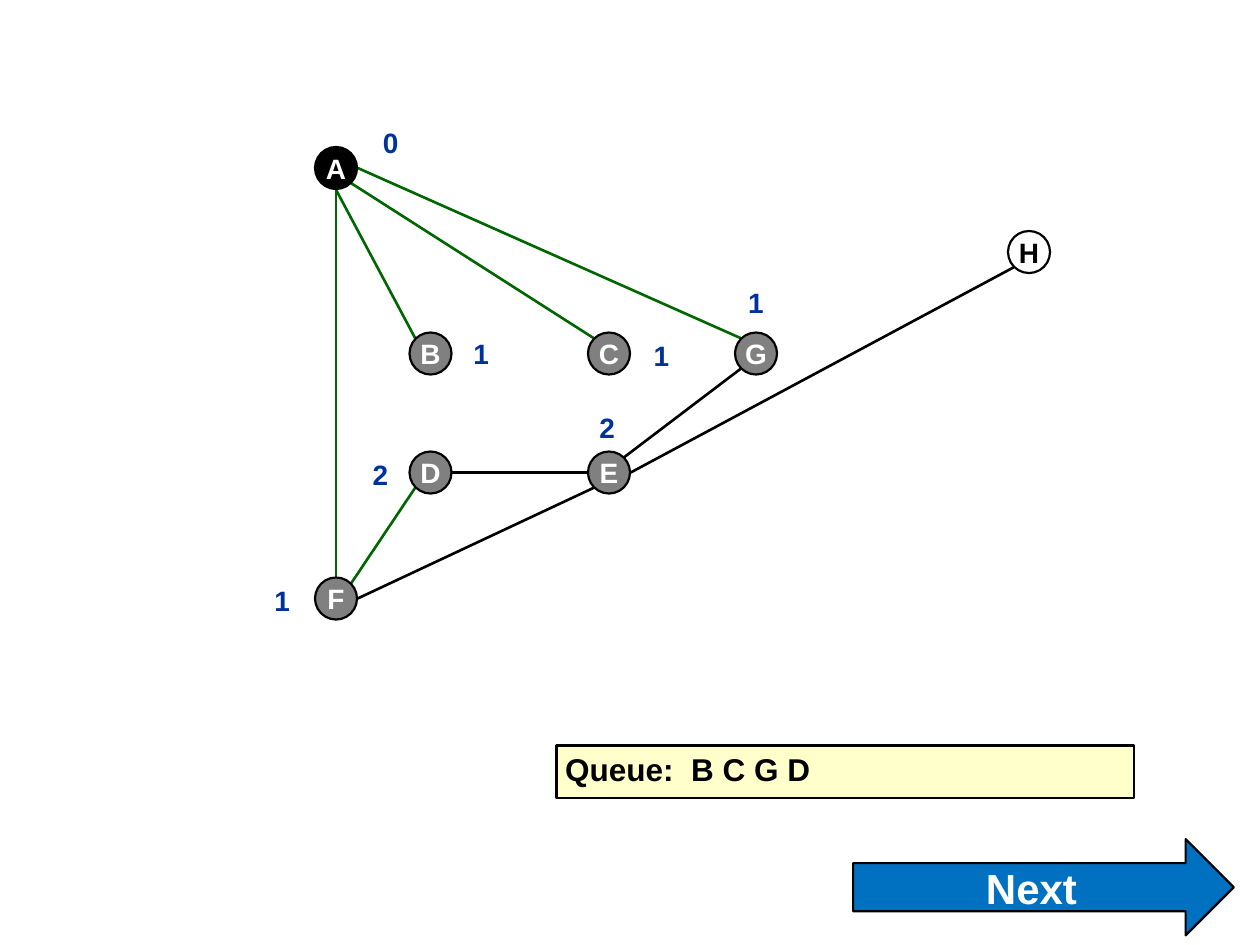
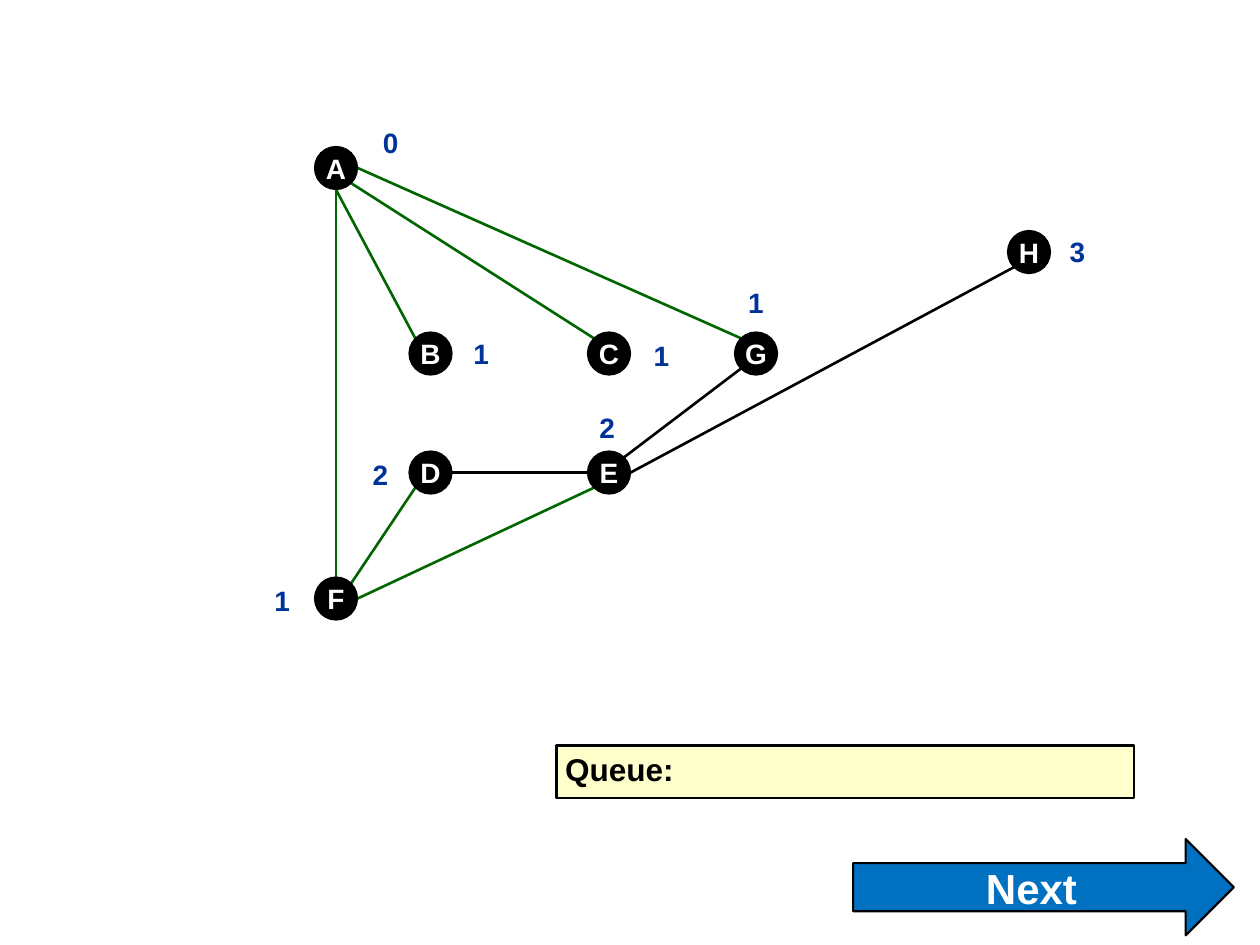
from dataclasses import dataclass
from math import cos, radians, sin

from lxml.etree import SubElement
from pptx import Presentation
from pptx.dml.color import RGBColor
from pptx.enum.shapes import MSO_CONNECTOR, MSO_SHAPE
from pptx.enum.text import MSO_ANCHOR, PP_ALIGN
from pptx.oxml.ns import qn
from pptx.util import Pt


@dataclass(frozen=True)
class Theme:
    font: str = "Arial"
    black: str = "000000"
    white: str = "FFFFFF"
    gray: str = "808080"
    tree: str = "006600"
    distance: str = "003399"
    queue: str = "FFFFCC"
    button: str = "0070C0"
    label_size: float = 16
    queue_size: float = 18
    button_size: float = 24
    outline: float = 1.25
    edge: float = 1.5


THEME = Theme()
RADIUS = 12
EDGE_RADIUS = 12.4
LABEL_WIDTH, LABEL_HEIGHT = 23, 19.4

NODES = {
    "A": (192, 96),
    "B": (246, 202),
    "C": (348, 202),
    "G": (432, 202),
    "D": (246, 270),
    "E": (348, 270),
    "F": (192, 342),
    "H": (588, 144),
}
SITES = {"right": 0, "bottom right": 45, "bottom": 90, "bottom left": 135,
         "left": 180, "top left": 225, "top": 270, "top right": 315}
EDGES = [
    ("F", "top", "A", "bottom"),
    ("A", "bottom right", "C", "top left"),
    ("A", "right", "G", "top left"),
    ("A", "bottom", "B", "top left"),
    ("E", "left", "D", "right"),
    ("E", "bottom left", "F", "right"),
    ("F", "top right", "D", "bottom left"),
    ("E", "top right", "G", "bottom left"),
    ("E", "right", "H", "bottom left"),
]
DISTANCES = {
    "A": ("0", 31.2, -14.3),
    "F": ("1", -30.8, 1.2),
    "B": ("1", 29, 0),
    "C": ("1", 30, 1.4),
    "G": ("1", 0, -29),
    "D": ("2", -28.6, 1),
    "E": ("2", -1, -25.6),
    "H": ("3", 27.6, -0.4),
}


def write(shape, text, size, color, align=PP_ALIGN.CENTER,
          anchor=MSO_ANCHOR.MIDDLE, wrap=False, left=0, top=0):
    frame = shape.text_frame
    frame.word_wrap = wrap
    frame.vertical_anchor = anchor
    frame.margin_left, frame.margin_top = Pt(left), Pt(top)
    frame.margin_right = frame.margin_bottom = 0
    para = frame.paragraphs[0]
    para.alignment = align
    span = para.add_run()
    span.text = text
    span.font.name = THEME.font
    span.font.size = Pt(size)
    span.font.bold = True
    span.font.color.rgb = RGBColor.from_string(color)
    return para


class GraphPage:
    def __init__(self, deck, theme):
        self.theme = theme
        self.page = deck.slides.add_slide(deck.slide_layouts[6])

    def shape(self, kind, left, top, width, height, fill):
        shape = self.page.shapes.add_shape(
            kind, Pt(left), Pt(top), Pt(width), Pt(height))
        shape.shadow.inherit = False
        shape.fill.solid()
        shape.fill.fore_color.rgb = RGBColor.from_string(fill)
        shape.line.color.rgb = RGBColor.from_string(self.theme.black)
        shape.line.width = Pt(self.theme.outline)
        return shape

    def site(self, node, name):
        x, y = NODES[node]
        angle = radians(SITES[name])
        return Pt(x + EDGE_RADIUS * cos(angle)), Pt(y + EDGE_RADIUS * sin(angle))

    def edge(self, start, start_site, end, end_site, color):
        line = self.page.shapes.add_connector(
            MSO_CONNECTOR.STRAIGHT,
            *self.site(start, start_site), *self.site(end, end_site))
        line.line.color.rgb = RGBColor.from_string(color)
        line.line.width = Pt(self.theme.edge)
        SubElement(line._element.spPr, qn("a:effectLst"))

    def node(self, name, fill):
        x, y = NODES[name]
        circle = self.shape(MSO_SHAPE.OVAL, x - RADIUS, y - RADIUS,
                            2 * RADIUS, 2 * RADIUS, fill)
        color = self.theme.black if fill == self.theme.white else self.theme.white
        write(circle, name, self.theme.label_size, color)

    def distance(self, node):
        text, across, down = DISTANCES[node]
        x, y = NODES[node]
        box = self.page.shapes.add_textbox(
            Pt(x + across - LABEL_WIDTH / 2), Pt(y + down - LABEL_HEIGHT / 2),
            Pt(LABEL_WIDTH), Pt(LABEL_HEIGHT))
        write(box, text, self.theme.label_size, self.theme.distance,
              anchor=MSO_ANCHOR.TOP, wrap=True)

    def queue(self, items):
        box = self.shape(MSO_SHAPE.RECTANGLE, 318, 426, 330, 30, self.theme.queue)
        text = f"Queue:\t{items}" if items else "Queue:"
        para = write(box, text, self.theme.queue_size, self.theme.black,
                     align=PP_ALIGN.LEFT, anchor=MSO_ANCHOR.TOP, wrap=True,
                     left=5, top=2.4)
        if items:
            tabs = SubElement(para._p.get_or_add_pPr(), qn("a:tabLst"))
            SubElement(tabs, qn("a:tab"), pos=str(Pt(72)), algn="l")

    def next_button(self):
        arrow = self.shape(MSO_SHAPE.RIGHT_ARROW, 487.5, 479.5, 217.5, 55,
                           self.theme.button)
        write(arrow, "Next", self.theme.button_size, self.theme.white)

    def draw(self, fills, tree, distances, items):
        for start, start_site, end, end_site in EDGES:
            color = self.theme.tree if start + end in tree else self.theme.black
            self.edge(start, start_site, end, end_site, color)
        for name in NODES:
            self.node(name, fills.get(name, self.theme.black))
        for name in distances:
            self.distance(name)
        self.queue(items)
        self.next_button()


deck = Presentation()
deck.slide_width, deck.slide_height = Pt(720), Pt(540)

discovered = dict.fromkeys("BCDEFG", THEME.gray)
tree = {"FA", "AC", "AG", "AB", "FD"}
GraphPage(deck, THEME).draw(
    {**discovered, "H": THEME.white}, tree, "AFBCGDE", "B C G D")
GraphPage(deck, THEME).draw({}, tree | {"EF"}, "AFBCGDEH", "")

deck.save("out.pptx")
